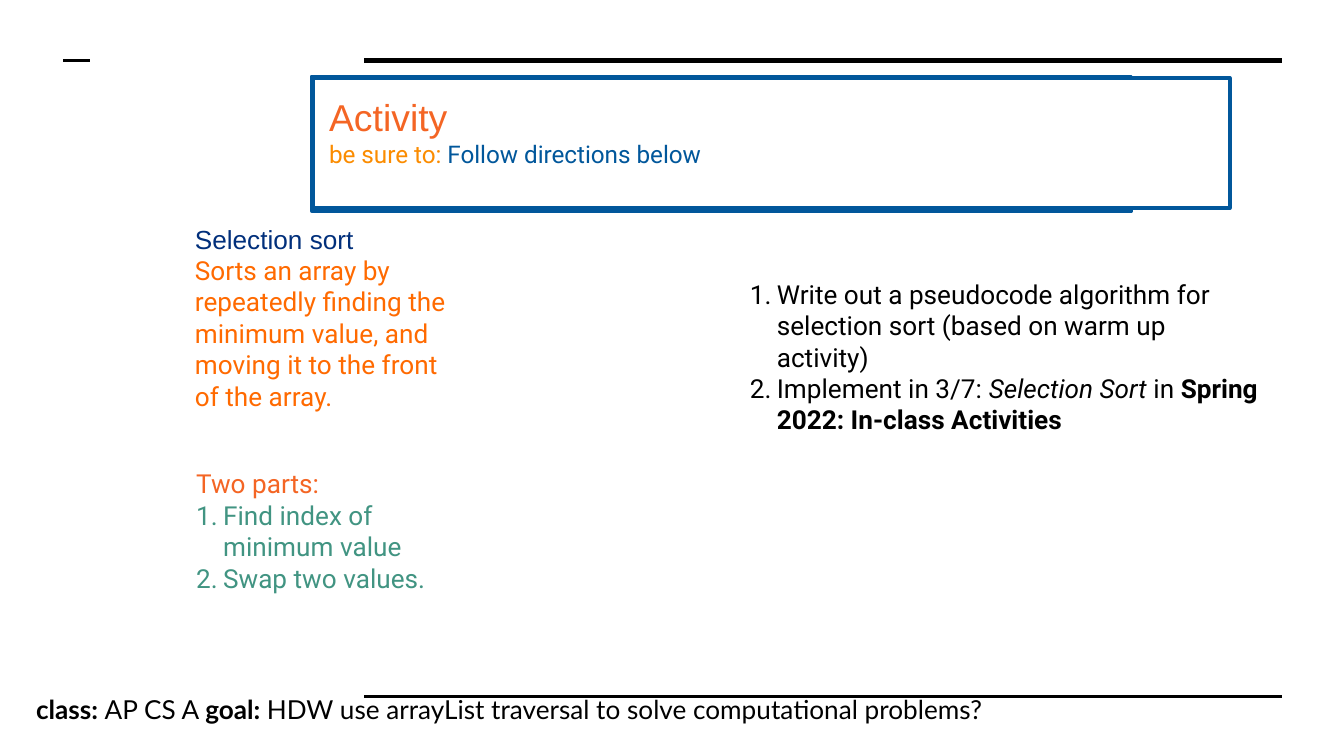
"""Build the selection sort activity slide."""
import pptx
import pptx.dml.color
import pptx.enum.shapes
import pptx.enum.text
import pptx.oxml.ns
import pptx.util
from lxml import etree


def rgb(value):
    return pptx.dml.color.RGBColor.from_string(value)


def add_run(p, text, size=14, font="Roboto", color="000000", bold=False, italic=False):
    r = p.add_run()
    r.text = text
    r.font.size = pptx.util.Pt(size)
    r.font.name = font
    r.font.color.rgb = rgb(color)
    r.font.bold = bold
    r.font.italic = italic


prs = pptx.Presentation()
prs.slide_width = pptx.util.Inches(10)
prs.slide_height = prs.slide_width * 9 // 16
col, row = prs.slide_width / 100, prs.slide_height / 100
s = prs.slides.add_slide(prs.slide_layouts[6])

rules = [(27.1, 95.4, 8, 3), (27.1, 95.4, 92.1, 1.5), (4.7, 6.7, 8, 1.5)]
for left, right, y, width in rules:
    line = s.shapes.add_connector(
        pptx.enum.shapes.MSO_CONNECTOR.STRAIGHT,
        int(left * col), int(y * row), int(right * col), int(y * row))
    line.line.color.rgb = rgb("000000")
    line.line.width = pptx.util.Pt(width)
    etree.SubElement(line._element.spPr, pptx.oxml.ns.qn("a:effectLst"))

banner = s.shapes.add_group_shape()
frames = [(23.2, 10.13, 61, 17.78, None), (23.3, 10.31, 68.2, 17.24, "FFFFFF")]
for x, y, w, h, fill in frames:
    sp = banner.shapes.add_shape(
        pptx.enum.shapes.MSO_SHAPE.RECTANGLE,
        int(x * col), int(y * row), int(w * col), int(h * row))
    sp.shadow.inherit = False
    if fill:
        sp.fill.solid()
        sp.fill.fore_color.rgb = rgb(fill)
    else:
        sp.fill.background()
    sp.line.color.rgb = rgb("01579B")
    sp.line.width = pptx.util.Pt(2)

lato = dict(font="Lato")
green = dict(color="419482")
footer = [(False, [
    ("class: ", dict(lato, bold=True)),
    ("AP CS A ", lato),
    ("goal: ", dict(lato, bold=True)),
    ("HDW use arrayList traversal to solve computational problems?", lato)])]
definition = [
    (False, [("Selection sort", dict(font="Arial", color="012F7B"))]),
    (False, [("Sorts an array by repeatedly finding the minimum value, "
              "and moving it to the front of the array.", dict(color="FF6A00"))])]
parts = [
    (False, [("Two parts:", dict(color="F46524"))]),
    (True, [("Find index of minimum value", green)]),
    (True, [("Swap two values.", green)])]
heading = [
    (False, [("Activity", dict(size=20, font="Arial", color="F46524"))]),
    (False, [("be sure to: ", dict(size=13, color="FB8C00")),
             ("Follow directions below", dict(size=13, color="01579B"))])]
tasks = [
    (True, [("Write out a pseudocode algorithm for selection sort "
             "(based on warm up activity)", {})]),
    (True, [("Implement in 3/7: ", {}),
            ("Selection Sort", dict(italic=True)),
            (" in ", {}),
            ("Spring 2022: In-class Activities", dict(bold=True))])]

boxes = [
    (s, 1.7, 89.96, 93.5, 11.2, 1, True, footer),
    (s, 14.5, 29.51, 20.1, 24.89, 0, True, definition),
    (s, 14.6, 61.87, 18.1, 16.71, 0, True, parts),
    (banner, 23.5, 10.67, 67.8, 16.71, 1, False, heading),
    (s, 55.8, 36.8, 38.2, 16.71, 0, True, tasks),
]
for parent, x, y, w, h, inset, grow, paragraphs in boxes:
    sp = parent.shapes.add_textbox(int(x * col), int(y * row), int(w * col), int(h * row))
    tf = sp.text_frame
    tf.word_wrap = True
    if grow:
        tf.auto_size = pptx.enum.text.MSO_AUTO_SIZE.SHAPE_TO_FIT_TEXT
    tf.margin_left = tf.margin_right = tf.margin_top = tf.margin_bottom = int(inset * col)
    for i, (numbered, runs) in enumerate(paragraphs):
        p = tf.add_paragraph() if i else tf.paragraphs[0]
        if numbered:
            pPr = p._p.get_or_add_pPr()
            pPr.set("marL", str(int(2 * col)))
            pPr.set("indent", str(int(-2 * col)))
            etree.SubElement(pPr, pptx.oxml.ns.qn("a:buAutoNum"), type="arabicPeriod")
        for text, style in runs:
            add_run(p, text, **style)

prs.save("out.pptx")
